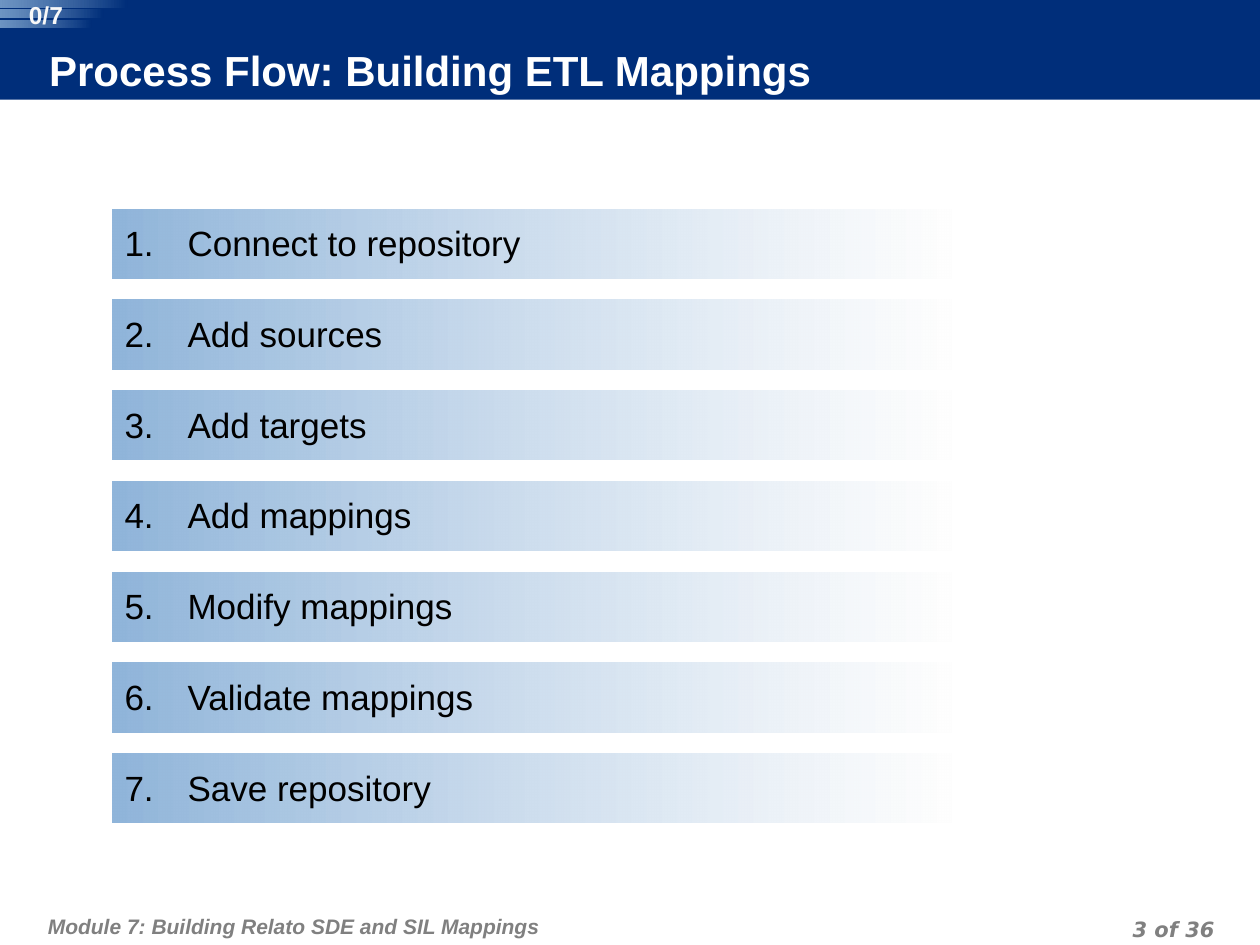
from dataclasses import dataclass

from lxml import etree
from pptx import Presentation, util as u
from pptx.dml.color import RGBColor
from pptx.enum import shapes, text
from pptx.oxml.ns import qn

NAVY = RGBColor(0x00, 0x2E, 0x7A)
BLUE = RGBColor(0x90, 0xB5, 0xDA)
PALE = RGBColor(0xFE, 0xFE, 0xFE)
SNOW = RGBColor(0xF8, 0xF8, 0xF8)
WHITE = RGBColor(0xFF, 0xFF, 0xFF)
GREY = RGBColor(0x80, 0x80, 0x80)
BLACK = RGBColor(0, 0, 0)

WIDE, HIGH = 10, 7.5
LEFT, TOP, PITCH = 0.89, 1.66, 0.72  # grid of the step bars
BAR_W, BAR_H = 6.66, 0.55
STEPS = ("Connect to repository", "Add sources", "Add targets", "Add mappings",
         "Modify mappings", "Validate mappings", "Save repository")


@dataclass
class Box:
    x: float
    y: float
    w: float
    h: float

    def emu(self) -> list:
        return [u.Inches(v) for v in (self.x, self.y, self.w, self.h)]


@dataclass
class Font:
    size: float
    color: RGBColor
    bold: bool = True
    slant: bool = False
    name: str = "Arial"


@dataclass
class Stop:
    color: RGBColor
    alpha: int = 100  # percent


def band(parent, box: Box, first: Stop, last: Stop):
    """Square-cornered bar that fades from right (first) to left (last)."""
    bar = parent.add_shape(shapes.MSO_SHAPE.ROUNDED_RECTANGLE, *box.emu())
    bar.adjustments[0] = 0
    bar.shadow.inherit = False
    bar.line.fill.background()
    bar.fill.gradient()
    bar.fill.gradient_angle = 180
    for stop, item in zip(bar.fill.gradient_stops, (first, last)):
        stop.color.rgb = item.color
    for clr, item in zip(bar.element.xpath(".//a:gs/a:srgbClr"), (first, last)):
        if item.alpha < 100:
            etree.SubElement(clr, qn("a:alpha")).set("val", str(item.alpha * 1000))
    return bar


def write(shape, words: str, font: Font, inset=(0, 0, 0, 0), align=text.PP_ALIGN.LEFT,
          anchor=text.MSO_ANCHOR.TOP, num: int = 0, lead: float = 0) -> None:
    """Put one run in a shape, numbered when num is given."""
    frame = shape.text_frame
    frame.word_wrap = True
    frame.vertical_anchor = anchor
    (frame.margin_left, frame.margin_top,
     frame.margin_right, frame.margin_bottom) = map(u.Inches, inset)
    para = frame.paragraphs[0]
    para.alignment = align
    if lead:
        para.line_spacing = u.Pt(lead)
    if num:
        props = para._p.get_or_add_pPr()
        props.set("marL", str(u.Inches(0.5)))
        props.set("indent", str(-u.Inches(0.5)))
        tint = etree.SubElement(props, qn("a:buClr"))
        etree.SubElement(tint, qn("a:srgbClr")).set("val", str(font.color))
        mark = etree.SubElement(props, qn("a:buAutoNum"))
        mark.set("type", "arabicPeriod")
        mark.set("startAt", str(num))
    run = para.add_run()
    run.text = words
    run.font.size = u.Pt(font.size)
    run.font.name = font.name
    run.font.bold = font.bold
    run.font.italic = font.slant
    run.font.color.rgb = font.color


def block(parent, box: Box):
    """Plain navy rectangle."""
    rect = parent.add_shape(shapes.MSO_SHAPE.RECTANGLE, *box.emu())
    rect.shadow.inherit = False
    rect.line.fill.background()
    rect.fill.solid()
    rect.fill.fore_color.rgb = NAVY
    return rect


def main() -> None:
    deck = Presentation()
    deck.slide_width, deck.slide_height = u.Inches(WIDE), u.Inches(HIGH)
    slide = deck.slides.add_slide(deck.slide_layouts[6])
    tree = slide.shapes

    # Header and title
    block(tree, Box(0, 0, WIDE, 0.79))
    title = block(tree, Box(0.33 + 0.06, 0.38, 7.87, 0.4))
    write(title, "Process Flow: Building ETL Mappings", Font(24, WHITE),
          (0, 0, 0.05, 0.05), anchor=text.MSO_ANCHOR.MIDDLE)

    # Footer
    foot = tree.add_textbox(*Box(0.33, 7.1, 6.62, 0.4).emu())
    write(foot, "Module 7: Building Relato SDE and SIL Mappings",
          Font(12, GREY, slant=True), (0.05, 0.1, 0.05, 0.05), lead=18)
    page = tree.add_textbox(*Box(7.36, 7.22, 2.33, 0.25).emu())
    write(page, "3 of 36", Font(12, GREY, slant=True, name="DejaVu Sans"),
          (0.05, 0, 0.05, 0), text.PP_ALIGN.RIGHT, lead=18)

    # Numbered steps
    for row, step in enumerate(STEPS):
        bar = band(tree, Box(LEFT, TOP + row * PITCH, BAR_W, BAR_H),
                   Stop(PALE, 75), Stop(BLUE))
        write(bar, step, Font(20, BLACK, bold=False), (0.1, 0.1, 0.1, 0.05),
              num=row + 1)

    # Progress counter on its stripes
    group = tree.add_group_shape().shapes
    for row, width in enumerate((1.01, 0.82, 0.73)):
        band(group, Box(0, row * 0.08, width, 0.06), Stop(NAVY), Stop(BLUE, 76))
    count = group.add_textbox(*Box(0.11, 0, 0.51, 0.23).emu())
    write(count, "0/7", Font(14, SNOW), align=text.PP_ALIGN.CENTER)

    deck.save("out.pptx")


if __name__ == "__main__":
    main()
